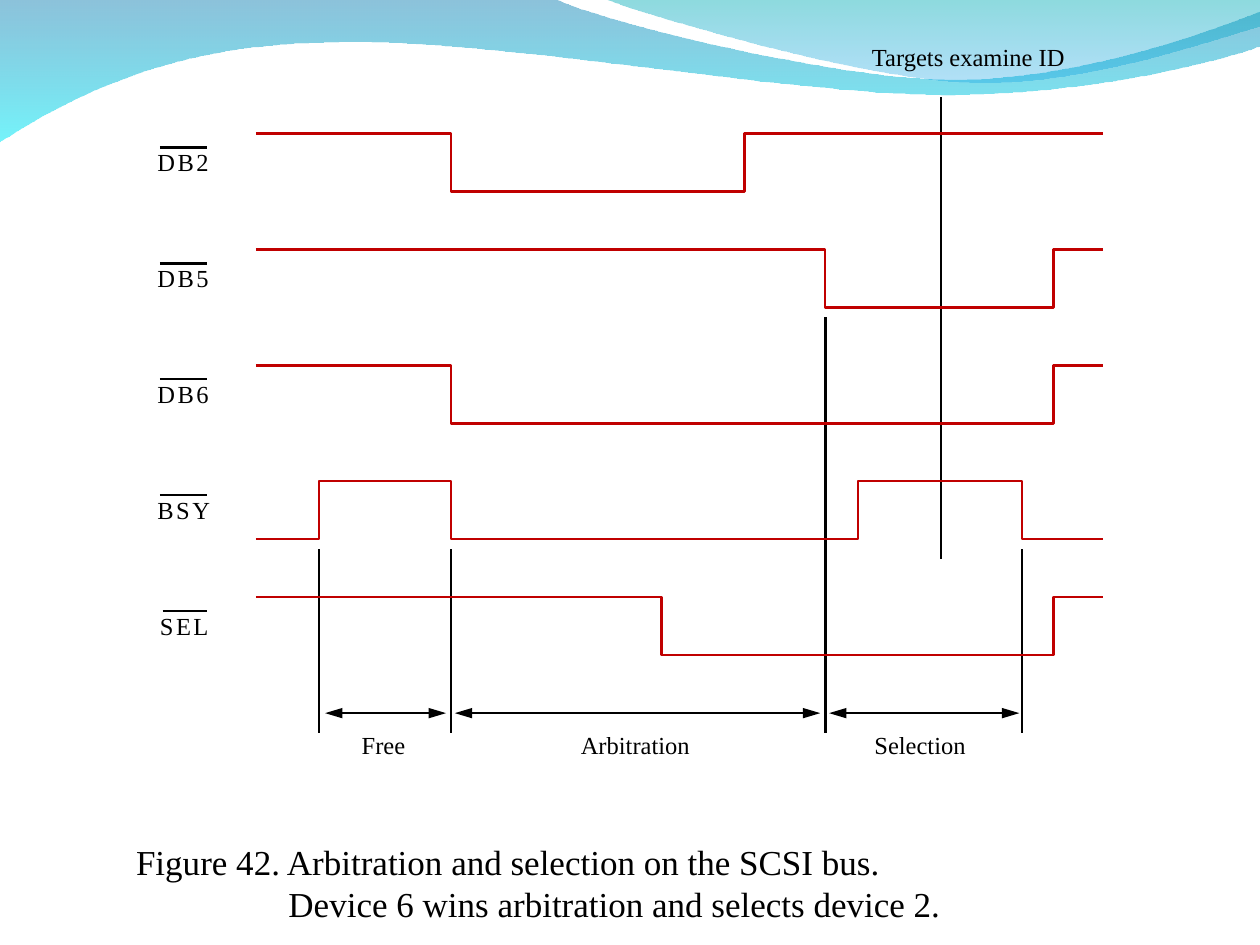
from typing import NamedTuple

from lxml import etree
from pptx import Presentation
from pptx import util as u
from pptx.dml.color import RGBColor
from pptx.enum import shapes, text
from pptx.oxml.ns import qn

COLORS = {
    "ink": "000000", "signal": "C00000",
    "wave_top": "0079AF", "wave_low": "00EBF8",
    "crest_top": "00ADB6", "crest_low": "009BE5",
}
FONT = "Times New Roman"
LINE = u.Pt(1.39)
LEFT, RIGHT = 2.03, 8.75
ROW_TOP, ROW_STEP, SWING = 1.06, 0.92, 0.46
BOTTOM, ARROW_Y = 5.82, 5.66


class Signal(NamedTuple):
    """A bus line: label, label left edge, starting level, switching times."""
    name: str
    x: float
    high: bool
    edges: list[float]


class Phase(NamedTuple):
    """A bus phase: arrow ends, caption left edge and width."""
    name: str
    start: float
    end: float
    x: float
    w: float


class Swoosh(NamedTuple):
    """A background band: start, line or curve segments, colour stops."""
    start: tuple
    segments: list[tuple]
    stops: list[tuple]


SIGNALS = [
    Signal("DB2", 1.25, True, [3.58, 5.91]),
    Signal("DB5", 1.25, True, [6.55, 8.36]),
    Signal("DB6", 1.25, True, [3.58, 8.36]),
    Signal("BSY", 1.25, False, [2.53, 3.58, 6.81, 8.11]),
    Signal("SEL", 1.27, True, [5.25, 8.36]),
]
PHASES = [
    Phase("Free", 2.58, 3.54, 2.87, 0.35),
    Phase("Arbitration", 3.61, 6.51, 4.61, 0.87),
    Phase("Selection", 6.58, 8.09, 6.94, 0.73),
]
MARKERS = [(2.53, 4.36, BOTTOM), (3.58, 4.36, BOTTOM), (6.55, 2.52, BOTTOM),
           (8.11, 4.36, BOTTOM), (7.47, 0.77, 4.44)]
SWOOSHES = [
    Swoosh((0, -0.01), [
        ((4.4, -0.01),),
        ((4.76, 0.17), (6.64, 0.63), (7.58, 0.63)),
        ((8.53, 0.63), (9.58, 0.26), (10, 0.09)),
        ((10.01, 0.36),),
        ((9.83, 0.44), (8.7, 0.76), (7.46, 0.75)),
        ((6.22, 0.75), (3.82, 0.28), (2.57, 0.34)),
        ((1.29, 0.35), (0.46, 0.83), (-0.01, 1.13)),
    ], [("wave_top", 45), ("wave_low", 55)]),
    Swoosh((4.79, -0.01), [
        ((5.09, 0.11), (6.82, 0.62), (7.69, 0.65)),
        ((8.56, 0.69), (9.61, 0.32), (10, 0.21)),
        ((10, 0),),
    ], [("crest_top", 45), ("crest_low", 30)]),
]


def rgb(name: str) -> RGBColor:
    """Look up a named colour."""
    return RGBColor.from_string(COLORS[name])


def outline(s, points: list[tuple], close: bool):
    """Add a freeform through points given in inches."""
    pts = [(u.Inches(x), u.Inches(y)) for x, y in points]
    fb = s.shapes.build_freeform(*pts[0], scale=1.0)
    fb.add_line_segments(pts[1:], close=close)
    sp = fb.convert_to_shape()
    sp.shadow.inherit = False
    return sp


def curve(p0: tuple, p1: tuple, p2: tuple, p3: tuple, steps: int = 32) -> list[tuple]:
    """Sample a cubic Bezier curve after its first point."""
    points = []
    for i in range(1, steps + 1):
        t = i / steps
        weights = ((1 - t) ** 3, 3 * t * (1 - t) ** 2, 3 * t * t * (1 - t), t ** 3)
        points.append(tuple(sum(w * p[k] for w, p in zip(weights, (p0, p1, p2, p3)))
                            for k in (0, 1)))
    return points


def add_swoosh(s, band: Swoosh) -> None:
    """Draw a translucent band shaded from top to bottom."""
    points = [band.start]
    for seg in band.segments:
        points += curve(points[-1], *seg) if len(seg) == 3 else seg
    sp = outline(s, points, close=True)
    sp.line.fill.background()
    sp.fill.gradient()
    sp.fill.gradient_angle = 270
    for stop, (name, _) in zip(sp.fill.gradient_stops, band.stops):
        stop.color.rgb = rgb(name)
    for clr, (_, opacity) in zip(sp.element.spPr.iter(qn("a:srgbClr")), band.stops):
        etree.SubElement(clr, qn("a:alpha"), val=str(opacity * 1000))


def add_line(s, x1: float, y1: float, x2: float, y2: float, arrows: bool = False) -> None:
    """Draw a black line, with arrowheads at both ends on request."""
    c = s.shapes.add_connector(shapes.MSO_CONNECTOR.STRAIGHT, *map(u.Inches, (x1, y1, x2, y2)))
    c.line.color.rgb = rgb("ink")
    c.line.width = LINE
    if arrows:
        ln = c.element.spPr.find(qn("a:ln"))
        for tag in ("a:headEnd", "a:tailEnd"):
            etree.SubElement(ln, qn(tag), type="triangle", w="med", len="lg")
    etree.SubElement(c.element.spPr, qn("a:effectLst"))


def add_text(s, x: float, y: float, w: float, h: float, lines: list[str],
             size: int = 14, wrap: bool = False):
    """Add a text box without margins and return its text frame."""
    tf = s.shapes.add_textbox(*map(u.Inches, (x, y, w, h))).text_frame
    tf.margin_left = tf.margin_right = tf.margin_top = tf.margin_bottom = 0
    tf.word_wrap = wrap
    tf.auto_size = text.MSO_AUTO_SIZE.SHAPE_TO_FIT_TEXT
    tf.text = "\n".join(lines)
    for p in tf.paragraphs:
        p.font.name = FONT
        p.font.size = u.Pt(size)
        p.font.color.rgb = rgb("ink")
    return tf


def add_signal(s, sig: Signal, top: float) -> None:
    """Draw a square wave with its overlined, letter-spaced label."""
    high = sig.high
    points = [(LEFT, top if high else top + SWING)]
    for x in sig.edges:
        points.append((x, points[-1][1]))
        high = not high
        points.append((x, top if high else top + SWING))
    points.append((RIGHT, points[-1][1]))
    sp = outline(s, points, close=False)
    sp.fill.background()
    sp.line.color.rgb = rgb("signal")
    sp.line.width = LINE
    tf = add_text(s, sig.x, top + 0.11, 0.6, 0.23, [sig.name], wrap=True)
    tf.paragraphs[0].runs[0].font._element.set("spc", "140")
    add_line(s, sig.x + 0.02, top + 0.11, 1.64, top + 0.11)


def main() -> None:
    """Build the timing diagram slide."""
    prs = Presentation()
    prs.slide_width, prs.slide_height = u.Inches(10), u.Inches(7.5)
    s = prs.slides.add_slide(prs.slide_layouts[6])
    for band in SWOOSHES:
        add_swoosh(s, band)
    for x, top, bottom in MARKERS:
        add_line(s, x, top, x, bottom)
    for ph in PHASES:
        add_line(s, ph.start, ARROW_Y, ph.end, ARROW_Y, arrows=True)
        add_text(s, ph.x, 5.79, ph.w, 0.23, [ph.name])
    for i, sig in enumerate(SIGNALS):
        add_signal(s, sig, ROW_TOP + i * ROW_STEP)
    add_text(s, 6.92, 0.33, 1.55, 0.23, ["Targets examine ID"])
    tf = add_text(s, 1.08, 6.67, 8.17, 0.67, [
        "Figure 42. Arbitration and selection on the SCSI bus.",
        "Device 6 wins arbitration and selects device 2.",
    ], size=20, wrap=True)
    tf.paragraphs[1]._p.get_or_add_pPr().set("marL", str(u.Inches(1.21)))
    prs.save("out.pptx")


main()
